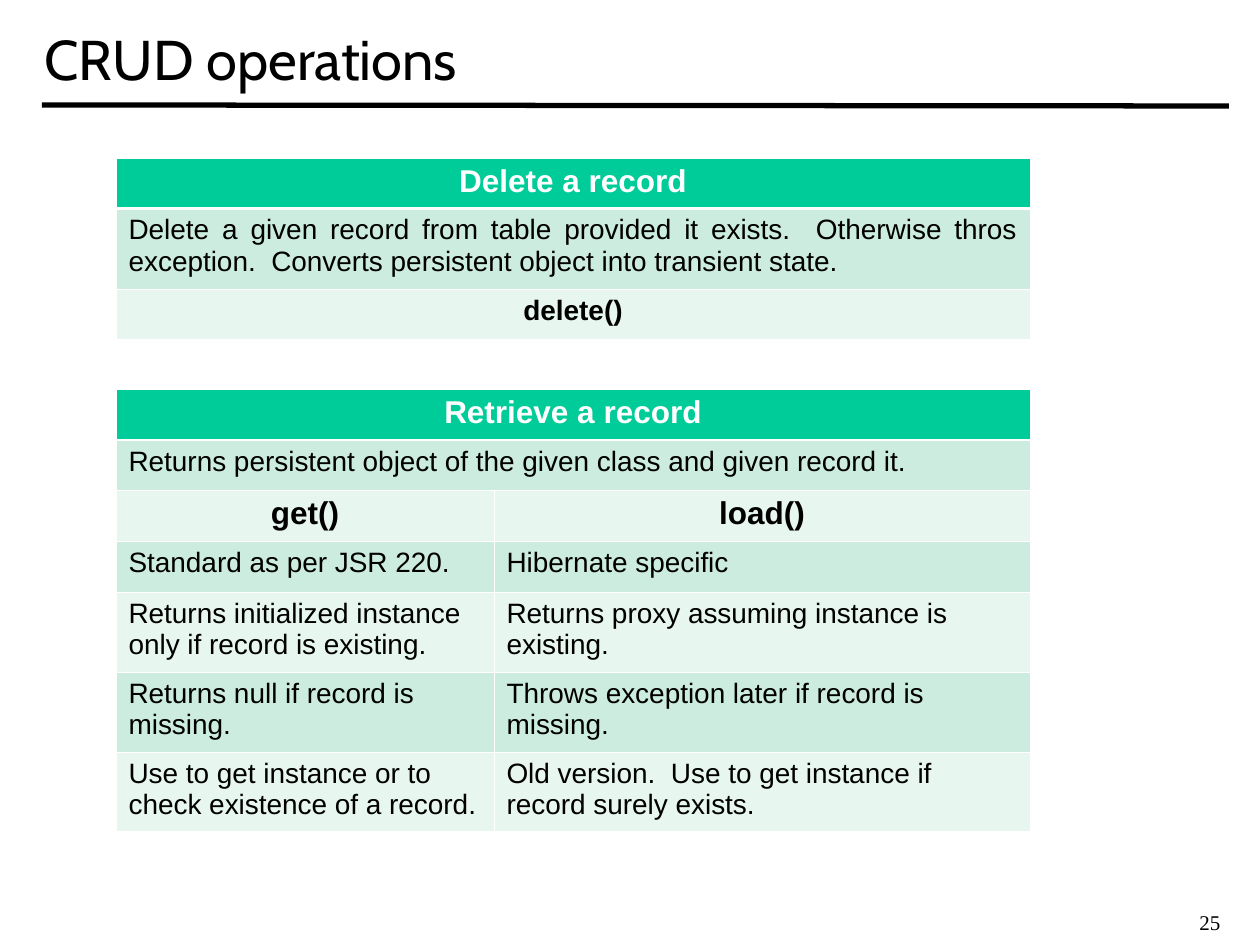
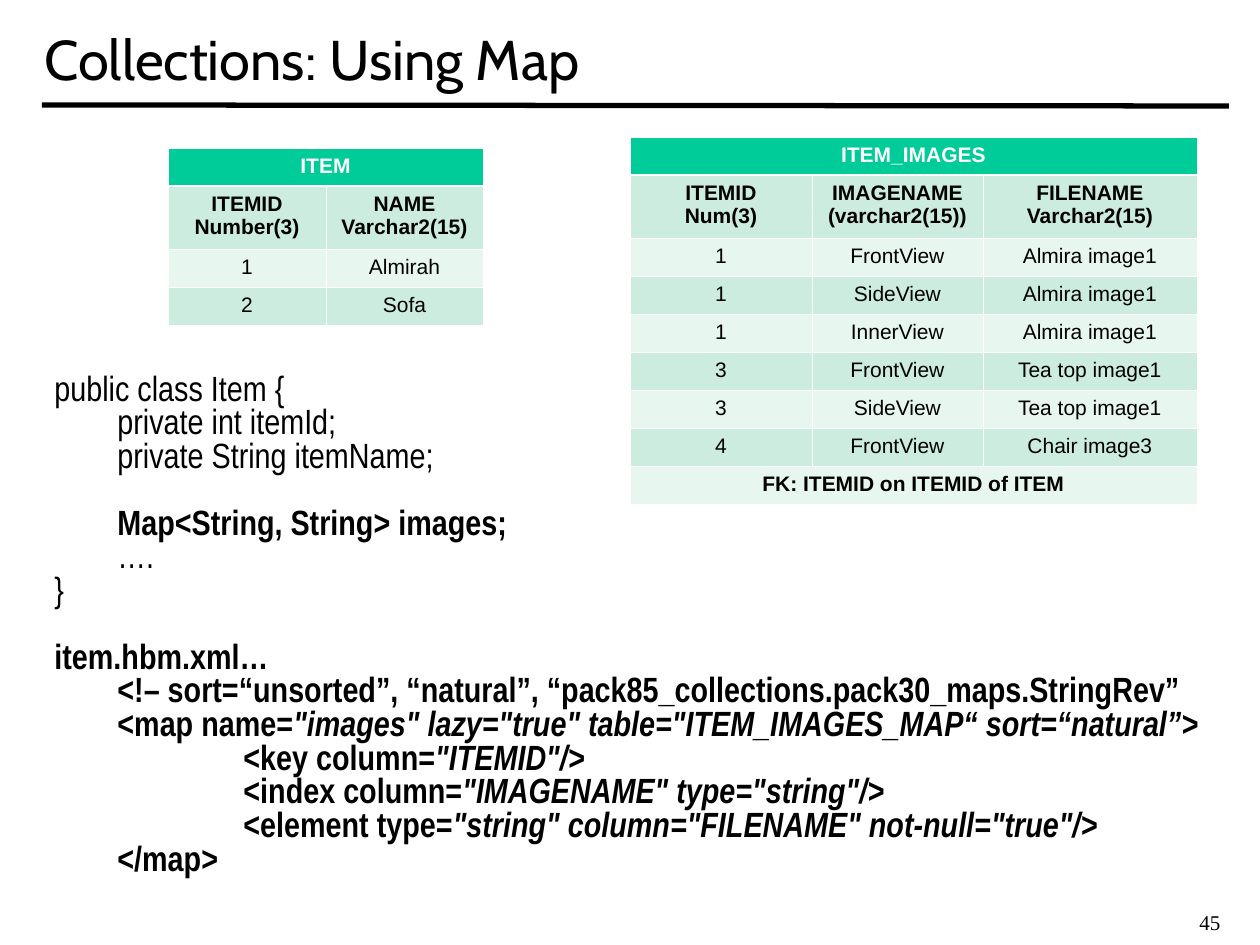
from lxml import etree
from pptx import Presentation
from pptx import util as u
from pptx.dml import color
from pptx.enum import shapes, text
from pptx.oxml import ns

EMU_PER_PX = 914400 / 126
LEFT, CENTER, JUSTIFY = (text.PP_ALIGN.LEFT, text.PP_ALIGN.CENTER,
                         text.PP_ALIGN.JUSTIFY)


def px(length):
    return u.Emu(round(length * EMU_PER_PX))


def rgb(value):
    return color.RGBColor.from_string(value)


class Deck:
    INK, PAPER = "000000", "FFFFFF"
    HEADER, BANDS = "00CC99", ("E7F6EF", "CBECDE")
    HAIRLINE, HEADER_RULE = 0.45, 1.47
    INDENT = 63

    def __init__(self):
        self.prs = Presentation()
        self.prs.slide_width, self.prs.slide_height = px(1260), px(945)
        self.slide = None

    def start(self, title, number):
        self.slide = self.prs.slides.add_slide(self.prs.slide_layouts[6])
        self.rule(42, 105, 1229, 106, 3)
        self.label(number, (1187, 903, 68, 38), "Times New Roman", 12)
        heading = self.label(title, (32, 0, 1197, 116), "Cabin", 32)
        heading.vertical_anchor = text.MSO_ANCHOR.MIDDLE

    def style(self, paragraph, face, size, ink=INK, bold=False, align=LEFT):
        paragraph.alignment = align
        font = paragraph.font
        font.name, font.size, font.bold = face, u.Pt(size), bold
        font.color.rgb = rgb(ink)

    def rule(self, x1, y1, x2, y2, width):
        line = self.slide.shapes.add_connector(
            shapes.MSO_CONNECTOR.STRAIGHT, px(x1), px(y1), px(x2), px(y2))
        line.line.color.rgb = rgb(self.INK)
        line.line.width = u.Pt(width)
        etree.SubElement(line._element.spPr, ns.qn("a:effectLst"))

    def frame(self, box):
        frame = self.slide.shapes.add_textbox(*map(px, box)).text_frame
        frame.word_wrap = True
        return frame

    def label(self, words, box, face, size):
        frame = self.frame(box)
        frame.text = words
        self.style(frame.paragraphs[0], face, size)
        return frame

    def code(self, box, lines):
        frame = self.frame(box)
        for index, (indent, gap, bold, plain, slanted) in enumerate(lines):
            line = frame.add_paragraph() if index else frame.paragraphs[0]
            line.line_spacing = 0.8
            line.space_before = u.Pt(gap)
            line._p.get_or_add_pPr().set("marL", str(px(indent * self.INDENT)))
            self.style(line, "Arial Narrow", 20, bold=bold)
            line.add_run().text = plain
            if slanted:
                value = line.add_run()
                value.text = slanted
                value.font.italic = True

    def borders(self, cell, row):
        properties = cell._tc.get_or_add_tcPr()
        for side in "LRTB":
            heavy = (row, side) in ((0, "B"), (1, "T"))
            width = u.Pt(self.HEADER_RULE if heavy else self.HAIRLINE)
            edge = etree.SubElement(properties, ns.qn("a:ln" + side), w=str(width))
            fill = etree.SubElement(edge, ns.qn("a:solidFill"))
            etree.SubElement(fill, ns.qn("a:srgbClr"), val=self.PAPER)

    def table(self, x, y, widths, heights, rows):
        grid = self.slide.shapes.add_table(
            len(rows), len(widths), px(x), px(y),
            px(sum(widths)), px(sum(heights))).table
        for column, width in zip(grid.columns, widths):
            column.width = px(width)
        for r, (size, bold, align, words) in enumerate(rows):
            grid.rows[r].height = px(heights[r])
            for c in range(len(widths)):
                cell = grid.cell(r, c)
                self.borders(cell, r)
                cell.fill.solid()
                cell.fill.fore_color.rgb = rgb(self.BANDS[r % 2] if r else self.HEADER)
                if c < len(words):
                    cell.text_frame.text = words[c]
                    for paragraph in cell.text_frame.paragraphs:
                        self.style(paragraph, "Arial", size,
                                   self.INK if r else self.PAPER, bold, align)
            if len(words) < len(widths):
                grid.cell(r, 0).merge(grid.cell(r, len(widths) - 1))


def crud_operations(deck):
    deck.start("CRUD operations", "25")
    deck.table(116, 158, [914], [50, 81, 50], [
        (18, True, CENTER, ["Delete a record"]),
        (16, False, JUSTIFY, [
            "Delete a given record from table provided it exists.  Otherwise thros "
            "exception.  Converts persistent object into transient state."]),
        (16, True, CENTER, ["delete()"]),
    ])
    comparison = [
        ("Standard as per JSR 220.", "Hibernate specific"),
        ("Returns initialized instance only if record is existing.",
         "Returns proxy assuming instance is existing."),
        ("Returns null if record is missing.",
         "Throws exception later if record is missing."),
        ("Use to get instance or to check existence of a record.",
         "Old version.  Use to get instance if record surely exists."),
    ]
    deck.table(116, 389, [378, 536], [51, 50, 51, 51, 80, 80, 80], [
        (18, True, CENTER, ["Retrieve a record"]),
        (16, False, JUSTIFY, [
            "Returns persistent object of the given class and given record it."]),
        (18, True, CENTER, ["get()", "load()"]),
        *[(16, False, LEFT, pair) for pair in comparison],
    ])


def database_table(deck, x, y, widths, name, fields, records, footnote=None):
    rows = [(12, True, CENTER, [name]), (12, True, CENTER, fields)]
    rows += [(12, False, CENTER, record) for record in records]
    if footnote:
        rows.append((12, True, CENTER, [footnote]))
    heights = [37, 63] + [38] * (len(rows) - 2)
    deck.table(x, y, widths, heights, rows)


def collections_map(deck):
    deck.start("Collections: Using Map", "45")
    deck.code((42, 368, 1176, 525), [
        (0, 0, False, "public class Item {", ""),
        (1, 0, False, "private int itemId;", ""),
        (1, 0, False, "private String itemName;", ""),
        (1, 19, True, "Map<String, String> images;", ""),
        (1, 0, False, "….", ""),
        (0, 0, False, "}", ""),
        (0, 19, True, "item.hbm.xml…", ""),
        (1, 0, True, "<!– sort=“unsorted”, “natural”, "
                     "“pack85_collections.pack30_maps.StringRev”", ""),
        (1, 0, True, "<map name=",
         '"images" lazy="true" table="ITEM_IMAGES_MAP“ sort=“natural”>'),
        (3, 0, True, "<key column=", '"ITEMID"/>'),
        (3, 0, True, "<index column=", '"IMAGENAME" type="string"/>'),
        (3, 0, True, "<element type=",
         '"string" column="FILENAME" not-null="true"/>'),
        (1, 0, True, "</map>", ""),
    ])
    database_table(
        deck, 168, 148, [158, 157], "ITEM",
        ["ITEMID\nNumber(3)", "NAME\nVarchar2(15)"],
        [("1", "Almirah"), ("2", "Sofa")])
    database_table(
        deck, 630, 137, [182, 171, 214], "ITEM_IMAGES",
        ["ITEMID\nNum(3)", "IMAGENAME\n(varchar2(15))", "FILENAME\nVarchar2(15)"],
        [("1", "FrontView", "Almira image1"),
         ("1", "SideView", "Almira image1"),
         ("1", "InnerView", "Almira image1"),
         ("3", "FrontView", "Tea top image1"),
         ("3", "SideView", "Tea top image1"),
         ("4", "FrontView", "Chair image3")],
        "FK: ITEMID on ITEMID of ITEM")


def main():
    deck = Deck()
    crud_operations(deck)
    collections_map(deck)
    deck.prs.save("out.pptx")


if __name__ == "__main__":
    main()
